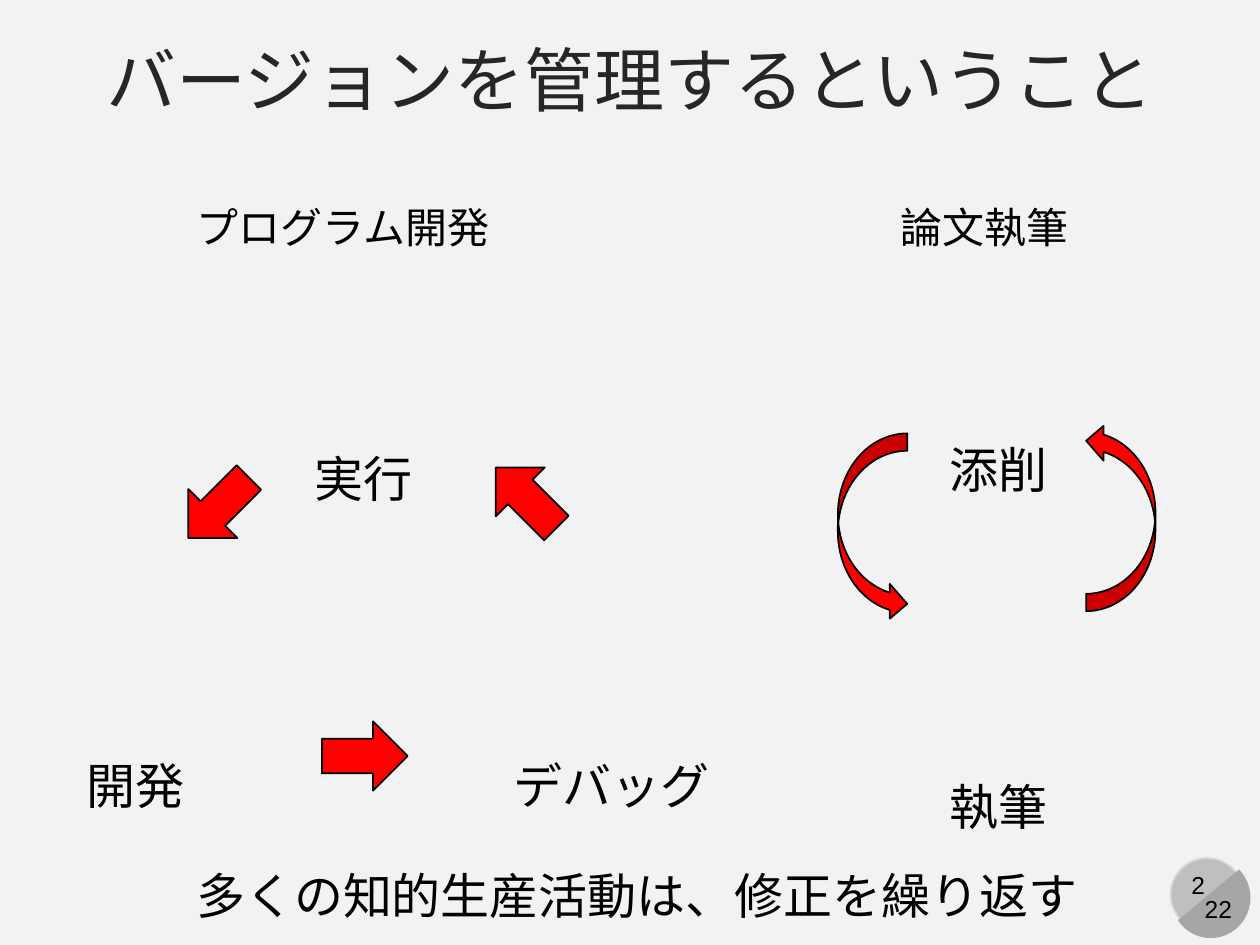
from pptx import Presentation
from pptx.dml.color import RGBColor
from pptx.enum.shapes import MSO_SHAPE
from pptx.enum.text import MSO_ANCHOR, MSO_AUTO_SIZE, PP_ALIGN
from pptx.util import Inches, Pt

DOWN, CURVED = MSO_SHAPE.DOWN_ARROW, MSO_SHAPE.CURVED_RIGHT_ARROW
OVAL, CHORD = MSO_SHAPE.OVAL, MSO_SHAPE.CHORD
LEFT, CENTER = PP_ALIGN.LEFT, PP_ALIGN.CENTER
MIDDLE = MSO_ANCHOR.MIDDLE
GROW, FIXED = MSO_AUTO_SIZE.SHAPE_TO_FIT_TEXT, MSO_AUTO_SIZE.NONE

COLORS = {"back": "F2F2F2", "title": "262626", "text": "000000",
          "arrow": "FF0000", "edge": "000000", "disc": "BFBFBF",
          "rim": "D9D9D9", "shade": "A6A6A6"}


def color(name):
    return RGBColor.from_string(COLORS[name])


def write(frame, text, size=28, ink="text", align=LEFT):
    para = frame.paragraphs[0]
    para.alignment = align
    run = para.add_run()
    run.text = text
    run.font.name = "Arial"
    run.font.size = Pt(size)
    run.font.color.rgb = color(ink)


class Deck:
    font_line = Pt(1)

    def __init__(self, slide):
        self.slide = slide
        fill = slide.background.fill
        fill.solid()
        fill.fore_color.rgb = color("back")

    def title(self, text, box):
        title = self.slide.shapes.title
        title.left, title.top, title.width, title.height = map(Inches, box)
        frame = title.text_frame
        frame.auto_size = FIXED
        frame.vertical_anchor = MIDDLE
        write(frame, text, size=40, ink="title", align=CENTER)

    def label(self, text, box, wrap=False, **style):
        frame = self.slide.shapes.add_textbox(*map(Inches, box)).text_frame
        frame.word_wrap = wrap
        frame.auto_size = GROW
        write(frame, text, **style)

    def shape(self, kind, box, fill, line=None, turn=0):
        shape = self.slide.shapes.add_shape(kind, *map(Inches, box))
        shape.shadow.inherit = False
        shape.rotation = turn
        shape.fill.solid()
        shape.fill.fore_color.rgb = color(fill)
        if line:
            shape.line.color.rgb = color(line)
            shape.line.width = self.font_line
        else:
            shape.line.fill.background()
        return shape

    def arrow(self, kind, left, top, height, turn):
        self.shape(kind, (left, top, 0.55, height), "arrow", "edge", turn)

    def badge(self, page, total):
        """Page number and page count on a two-tone disc."""
        self.shape(OVAL, (9.29, 6.81, 0.58, 0.58), "disc", "rim")
        self.label(page, (9.29, 6.86, 0.44, 0.34), size=14, align=CENTER)
        chord = self.shape(CHORD, (9.29, 6.81, 0.64, 0.63), "shade", turn=270)
        chord.adjustments[0] = 27
        chord.adjustments[1] = 141.42
        self.label(total, (9.4, 7.05, 0.54, 0.34), wrap=True,
                   size=14, align=CENTER)


def main():
    prs = Presentation()
    prs.slide_width, prs.slide_height = Inches(10), Inches(7.5)
    deck = Deck(prs.slides.add_slide(prs.slide_layouts[5]))

    deck.badge("2", "22")
    deck.title("バージョンを管理するということ", (0, 0.21, 10, 0.82))

    for text, left, width in (("プログラム開発", 1.46, 2.56),
                              ("論文執筆", 7.05, 1.55)):
        deck.label(text, (left, 1.55, width, 0.5), size=24)

    for text, left, top, width in (
            ("実行", 2.4, 3.51, 0.99),
            ("開発", 0.59, 5.95, 0.99),
            ("デバッグ", 3.98, 5.95, 1.77),
            ("添削", 7.44, 3.44, 0.99),
            ("執筆", 7.44, 6.11, 0.99),
            ("多くの知的生産活動は、修正を繰り返す", 1.46, 6.82, 7.27)):
        deck.label(text, (left, top, width, 0.57))

    for left, top, turn in ((1.46, 3.69, 45), (2.62, 5.66, 270),
                            (3.9, 3.61, 135)):
        deck.arrow(DOWN, left, top, 0.68, turn)
    for left, top, turn in ((6.65, 3.44, 0), (8.62, 3.36, 180)):
        deck.arrow(CURVED, left, top, 1.49, turn)

    prs.save("out.pptx")


if __name__ == "__main__":
    main()
